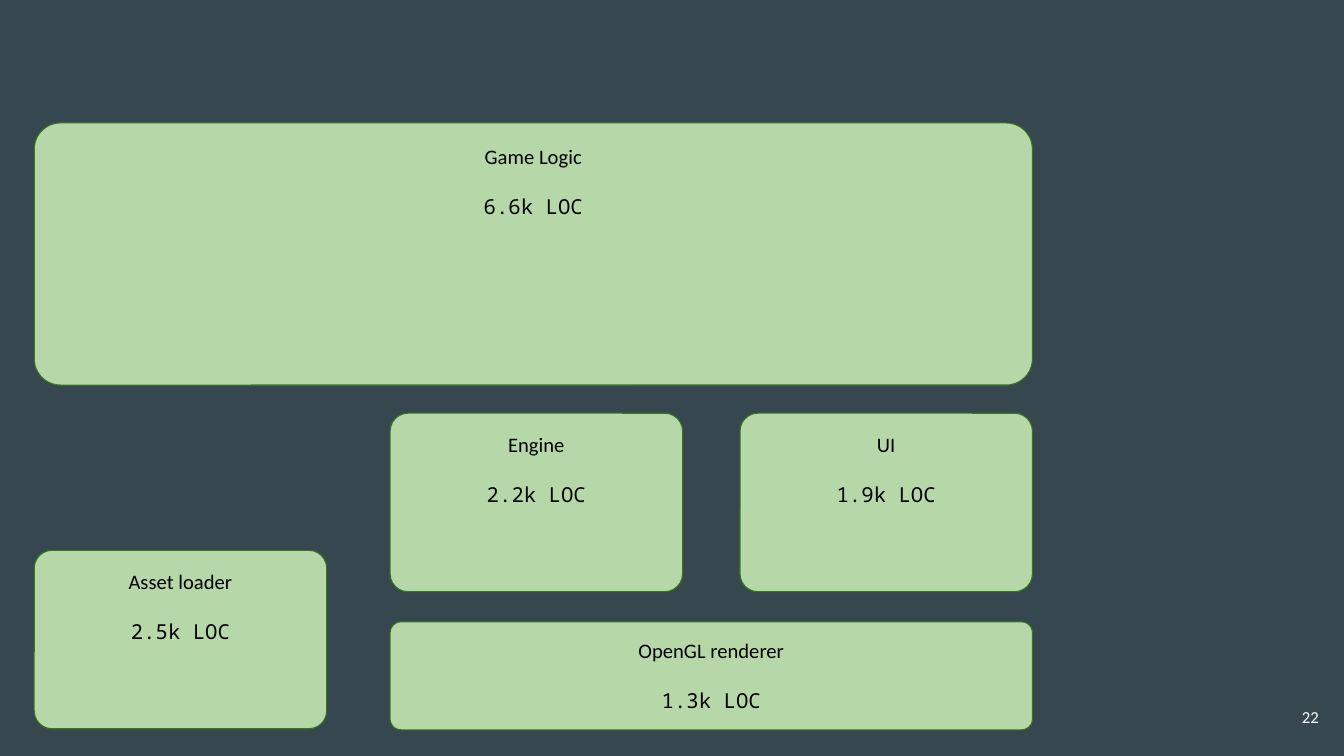
from dataclasses import dataclass

from pptx import Presentation
from pptx.dml.color import RGBColor as Color
from pptx.enum.shapes import MSO_SHAPE as Shape
from pptx.enum.text import MSO_ANCHOR as Anchor, PP_ALIGN as Align
from pptx.util import Inches, Pt


@dataclass(frozen=True)
class Theme:
    background: str = "37474F"
    module_fill: str = "B6D7A8"
    module_line: str = "38761D"
    module_text: str = "000000"
    page_text: str = "FFFFFF"
    name_font: str = "Calibri"
    count_font: str = "Noto Sans Mono"
    module_size: float = 14.7
    page_size: float = 12
    line_width: float = 0.75
    count_gap: float = 18


THEME = Theme()

SLIDE_SIZE = (13.33, 7.5)
COLUMN_LEFTS = (0.34, 3.87, 7.34)
COLUMN_WIDTH = 2.9
ROWS = {
    "logic": (1.22, 2.6),
    "core": (4.1, 1.77),
    "assets": (5.46, 1.77),
    "renderer": (6.17, 1.07),
}
MODULES = (
    ("Asset loader", "2.5k LOC", "assets", 0, 0),
    ("OpenGL renderer", "1.3k LOC", "renderer", 1, 2),
    ("Engine", "2.2k LOC", "core", 1, 1),
    ("Game Logic", "6.6k LOC", "logic", 0, 2),
    ("UI", "1.9k LOC", "core", 2, 2),
)


def grid_box(row, first_column, last_column):
    top, height = ROWS[row]
    left = COLUMN_LEFTS[first_column]
    width = COLUMN_LEFTS[last_column] + COLUMN_WIDTH - left
    return [Inches(length) for length in (left, top, width, height)]


def set_margins(text_frame, margin):
    text_frame.word_wrap = True
    text_frame.margin_left = text_frame.margin_right = Inches(margin)
    text_frame.margin_top = text_frame.margin_bottom = Inches(margin)


def style_paragraph(paragraph, font_name, size, color, alignment):
    paragraph.alignment = alignment
    for run in paragraph.runs:
        run.font.name = font_name
        run.font.size = Pt(size)
        run.font.color.rgb = Color.from_string(color)


def add_module(slide, name, line_count, row, first_column, last_column):
    box = grid_box(row, first_column, last_column)
    shape = slide.shapes.add_shape(Shape.ROUNDED_RECTANGLE, *box)
    shape.adjustments[0] = 0.1
    shape.shadow.inherit = False
    shape.fill.solid()
    shape.fill.fore_color.rgb = Color.from_string(THEME.module_fill)
    shape.line.color.rgb = Color.from_string(THEME.module_line)
    shape.line.width = Pt(THEME.line_width)

    text_frame = shape.text_frame
    set_margins(text_frame, 0.13)
    text_frame.vertical_anchor = Anchor.TOP
    text_frame.text = f"{name}\n{line_count}"
    fonts = (THEME.name_font, THEME.count_font)
    for paragraph, font_name in zip(text_frame.paragraphs, fonts):
        style_paragraph(paragraph, font_name, THEME.module_size,
                        THEME.module_text, Align.CENTER)
    text_frame.paragraphs[1].space_before = Pt(THEME.count_gap)


def add_page_number(slide, number):
    box = [Inches(length) for length in (12.38, 6.83, 0.8, 0.57)]
    text_frame = slide.shapes.add_textbox(*box).text_frame
    set_margins(text_frame, 0.1)
    text_frame.vertical_anchor = Anchor.MIDDLE
    text_frame.text = number
    style_paragraph(text_frame.paragraphs[0], THEME.name_font,
                    THEME.page_size, THEME.page_text, Align.RIGHT)


def main():
    presentation = Presentation()
    presentation.slide_width, presentation.slide_height = map(Inches, SLIDE_SIZE)
    slide = presentation.slides.add_slide(presentation.slide_layouts[6])
    slide.background.fill.solid()
    slide.background.fill.fore_color.rgb = Color.from_string(THEME.background)

    add_page_number(slide, "22")
    for module in MODULES:
        add_module(slide, *module)
    presentation.save("out.pptx")


if __name__ == "__main__":
    main()
